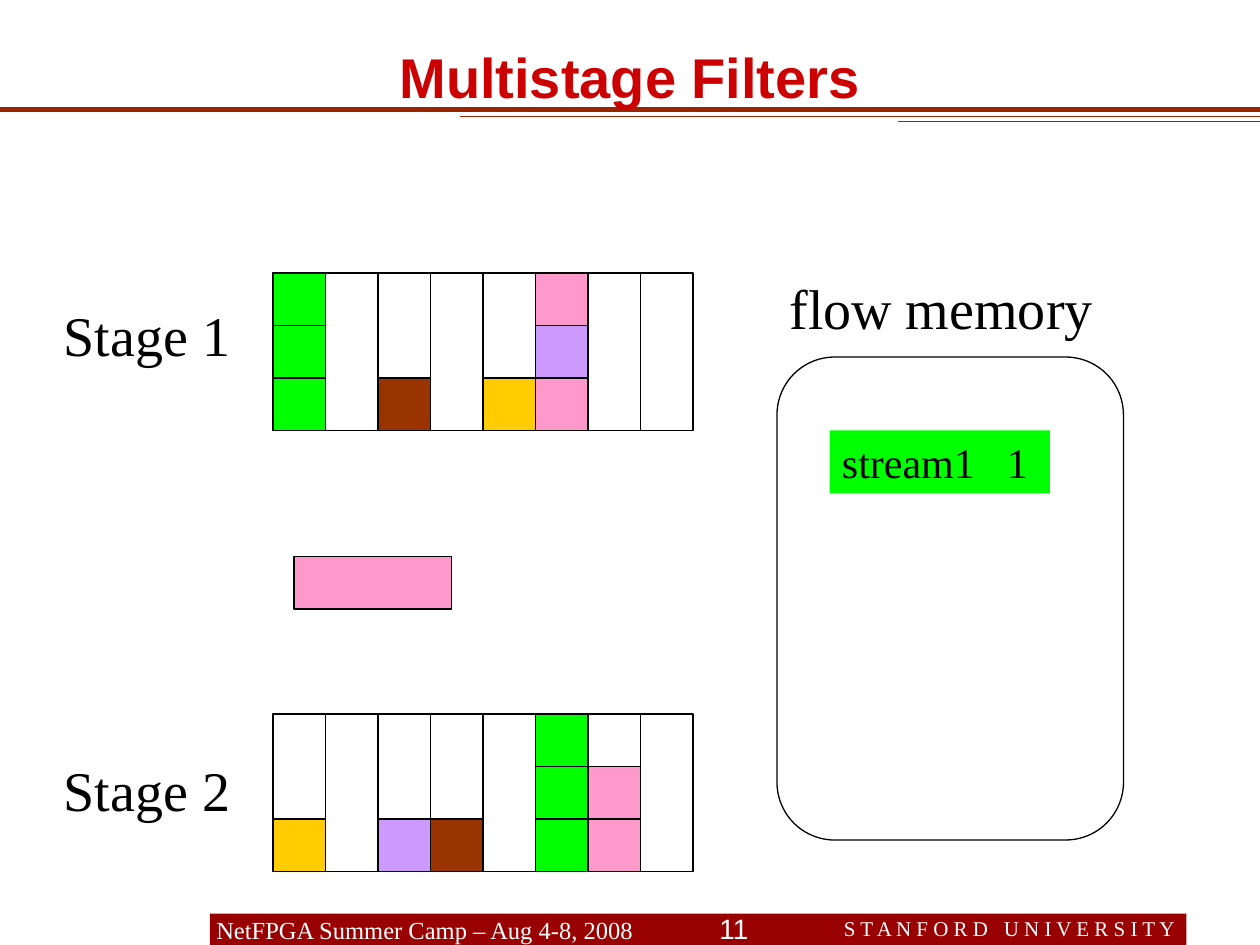
import pptx
import pptx.dml.color
import pptx.enum.shapes
import pptx.enum.text
import pptx.util
from lxml import etree
from pptx.oxml.ns import qn

RGB = pptx.dml.color.RGBColor
WHITE = RGB(0xFF, 0xFF, 0xFF)
BLACK = RGB(0x00, 0x00, 0x00)
RED = RGB(0xCC, 0x00, 0x00)
MAROON = RGB(0x99, 0x00, 0x00)
RUST = RGB(0x98, 0x24, 0x00)
GREEN = RGB(0x00, 0xFF, 0x00)
PINK = RGB(0xFF, 0x99, 0xCC)
VIOLET = RGB(0xCC, 0x99, 0xFF)
YELLOW = RGB(0xFF, 0xCC, 0x00)
BROWN = RGB(0x99, 0x33, 0x00)

SERIF = "Times New Roman"
SANS = "Arial"
SHAPE = pptx.enum.shapes.MSO_SHAPE
ALIGN = pptx.enum.text.PP_ALIGN
ANCHOR = pptx.enum.text.MSO_ANCHOR

COLS, ROWS = 120, 90  # grid over the whole slide
CELL = 5              # side of one counter cell, in grid units
BUCKETS, DEPTH = 8, 3
STAGE_LEFT = 26

# bucket number -> counted packets, from the bottom up
STAGES = [
    ("Stage 1", 26, 28, {0: [GREEN] * 3, 2: [BROWN], 4: [YELLOW],
                         5: [PINK, VIOLET, PINK]}),
    ("Stage 2", 68, 71.4, {0: [YELLOW], 2: [VIOLET], 3: [BROWN],
                           5: [GREEN] * 3, 6: [PINK] * 2}),
]


def grid(units):
    return pptx.util.Inches(units * 10 / COLS)


def add_text(sp, text, size=32, font=SERIF, color=BLACK, bold=False,
             align=ALIGN.LEFT, anchor=ANCHOR.TOP, inset=(0.1, 0.05), tab=None):
    """Fill a shape with one paragraph; inset is (sides, top and bottom) in inches."""
    tf = sp.text_frame
    tf.word_wrap = True
    tf.vertical_anchor = anchor
    tf.margin_left = tf.margin_right = pptx.util.Inches(inset[0])
    tf.margin_top = tf.margin_bottom = pptx.util.Inches(inset[1])
    p = tf.paragraphs[0]
    p.alignment = align
    if tab:
        tabs = etree.SubElement(p._p.get_or_add_pPr(), qn("a:tabLst"))
        etree.SubElement(tabs, qn("a:tab"), pos=str(pptx.util.Inches(tab)), algn="l")
    r = p.add_run()
    r.text = text
    r.font.size = pptx.util.Pt(size)
    r.font.name = font
    r.font.bold = bold
    r.font.color.rgb = color


def add_label(s, x, y, w, h, text, **fmt):
    sp = s.shapes.add_textbox(grid(x), grid(y), grid(w), grid(h))
    add_text(sp, text, **fmt)


def add_box(s, x, y, w, h, fill=WHITE, outlined=True, kind=SHAPE.RECTANGLE):
    sp = s.shapes.add_shape(kind, grid(x), grid(y), grid(w), grid(h))
    sp.shadow.inherit = False
    sp.fill.solid()
    sp.fill.fore_color.rgb = fill
    if outlined:
        sp.line.color.rgb = BLACK
        sp.line.width = pptx.util.Pt(0.75)
    else:
        sp.line.fill.background()
    return sp


def add_rule(s, x, y, width):
    """Draw a horizontal line from x to the right edge of the slide."""
    line = s.shapes.add_connector(pptx.enum.shapes.MSO_CONNECTOR.STRAIGHT,
                                  grid(x), grid(y), grid(COLS), grid(y))
    line.line.color.rgb = RUST
    line.line.width = pptx.util.Pt(width)
    etree.SubElement(line._element.spPr, qn("a:effectLst"))


def add_stage(s, name, top, label_top, counts):
    for bucket in range(BUCKETS):
        x = STAGE_LEFT + bucket * CELL
        add_box(s, x, top, CELL, DEPTH * CELL)
        for level, color in enumerate(counts.get(bucket, []), start=1):
            add_box(s, x, top + (DEPTH - level) * CELL, CELL, CELL, color)
    add_label(s, 3, label_top, 22, 7.7, name, align=ALIGN.CENTER)


def add_flow_memory(s):
    add_box(s, 74, 34, 33, 46, kind=SHAPE.ROUNDED_RECTANGLE)
    add_label(s, 74, 25.5, 39, 7.7, "flow memory")
    entry = add_box(s, 79, 41, 21, 6, GREEN, outlined=False)
    add_text(entry, "stream1\t1", size=24, tab=1.31)


def add_footer(s):
    bar = add_box(s, 20, 87, 93, 3, MAROON, outlined=False)
    add_text(bar, "NetFPGA Summer Camp – Aug 4-8, 2008", size=14, color=WHITE,
             anchor=ANCHOR.MIDDLE, inset=(0.05, 0))
    add_label(s, 63.4, 86.4, 13, 4, "11", size=16, font=SANS, color=WHITE,
              align=ALIGN.CENTER, anchor=ANCHOR.MIDDLE, inset=(0, 0))
    add_label(s, 70, 86.6, 45.5, 3.6, "S T A N F O R D   U N I V E R S I T Y",
              size=12, color=WHITE, align=ALIGN.RIGHT, inset=(0.3, 0.05))


def main():
    prs = pptx.Presentation()
    prs.slide_width, prs.slide_height = grid(COLS), grid(ROWS)
    s = prs.slides.add_slide(prs.slide_layouts[6])
    add_footer(s)
    for x, y, width in [(0, 10.4, 3), (43.8, 11.1, 0.75), (85.5, 11.6, 0.5)]:
        add_rule(s, x, y, width)
    for stage in STAGES:
        add_stage(s, *stage)
    add_box(s, 28, 53, 3 * CELL, CELL, PINK)
    add_flow_memory(s)
    add_label(s, 0, 0, COLS, 11, "Multistage Filters", font=SANS, color=RED,
              bold=True, align=ALIGN.CENTER, anchor=ANCHOR.BOTTOM)
    prs.save("out.pptx")


if __name__ == "__main__":
    main()
